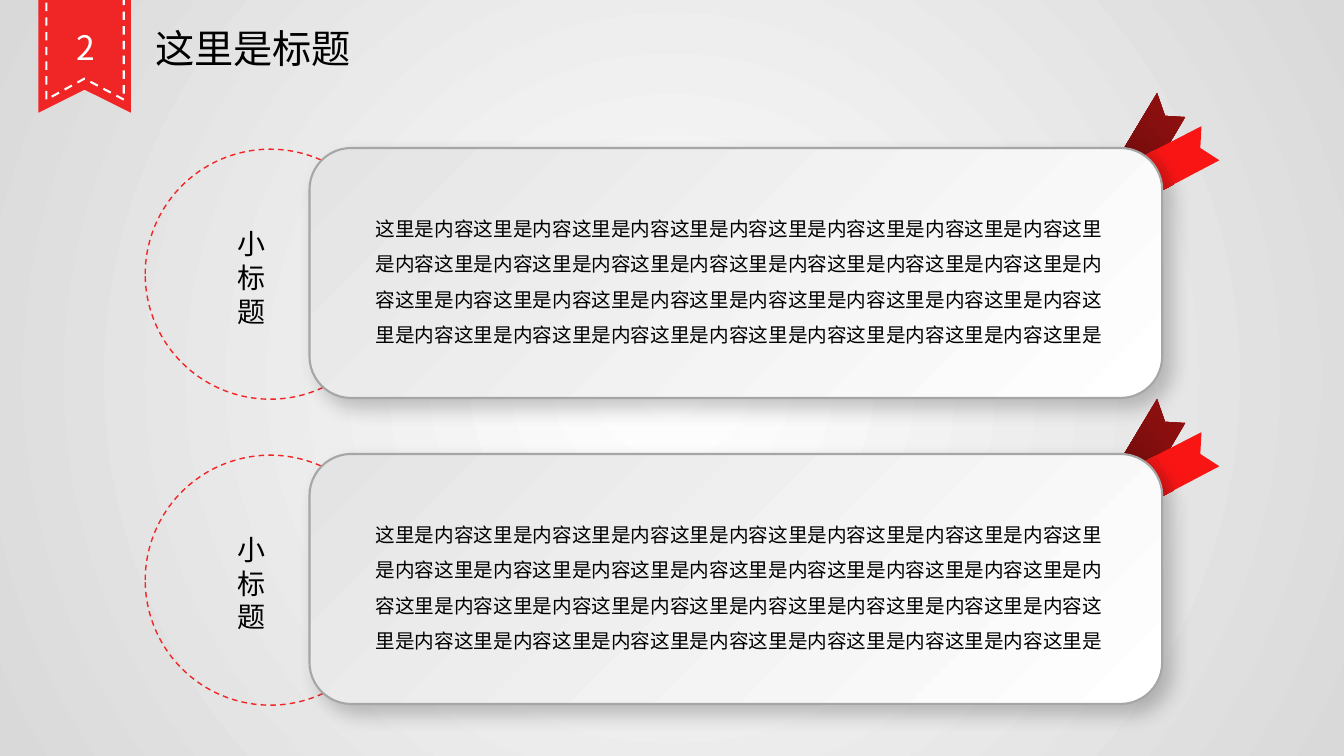
import pptx
import pptx.util
import pptx.oxml
import pptx.oxml.ns
import pptx.dml.color
import pptx.enum.dml
import pptx.enum.shapes
import pptx.enum.text

Cm = pptx.util.Cm
Pt = pptx.util.Pt
RGB = pptx.dml.color.RGBColor
qn = pptx.oxml.ns.qn
SHAPE = pptx.enum.shapes.MSO_SHAPE
TEXT = pptx.enum.text
DASH = pptx.enum.dml.MSO_LINE.DASH

BLACK = RGB(0x00, 0x00, 0x00)
WHITE = RGB(0xFF, 0xFF, 0xFF)
SILVER = RGB(0xD9, 0xD9, 0xD9)
PALE = RGB(0xE4, 0xE4, 0xE4)
EDGE = RGB(0xA6, 0xA6, 0xA6)
RED = RGB(0xF0, 0x25, 0x25)
RING_RED = RGB(0xF2, 0x24, 0x24)
BRIGHT_RED = RGB(0xFA, 0x15, 0x15)
FOLD_RED = RGB(0xC4, 0x1A, 0x1A)
DEEP_RED = RGB(0x59, 0x0A, 0x0A)
DARK_RED = RGB(0x7E, 0x0E, 0x0E)
WINE = RGB(0x96, 0x10, 0x10)

SANS_JP = "Noto Sans CJK JP"
SANS_SC = "Noto Sans CJK SC"

TITLE = "这里是标题"
NUMBER = "2"
CARDS = [
    ("小标题", "这里是内容" * 29 + "这里是"),
    ("小标题", "这里是内容" * 29 + "这里是"),
]

TITLE_BOX = (3.66, 0.48, 6.3, 1.45)
NUMBER_BOX = (1.35, 0.56, 1.65, 1.27)
RING_BOX = (3.66, 3.76, 6.3, 6.3)
CARD_BOX = (7.8, 3.73, 21.49, 6.3)
LABEL_BOX = (5.74, 5.59, 1.68, 2.82)
BODY_BOX = (9.22, 5.05, 19.08, 3.84)
CARD_PITCH = 7.71

RIBBON = [(3.3, 2.84), (2.13, 2.26), (0.97, 2.84), (0.97, -6.05), (3.3, -6.05)]
STITCH = [(3.12, 2.51), (2.13, 1.98), (1.17, 2.51), (1.17, -5.79), (3.12, -5.79)]
BACK_TAIL = [(29.16, 2.34), (28.45, 3.53), (27.94, 4.39), (28.4, 5.26),
             (29.16, 4.14), (29.87, 2.95), (29.36, 2.92)]
FRONT_TAIL = [(30.73, 4.04), (29.57, 4.65), (28.4, 5.26), (27.94, 4.39),
              (29.11, 3.78), (30.28, 3.18), (30.25, 3.73)]
FOLD = [(29.57, 4.65), (28.4, 5.26), (27.94, 4.39), (29.11, 3.78)]

CENTRE_GLOW = '<a:path path="circle"><a:fillToRect l="50000" t="50000" r="50000" b="50000"/></a:path>'
CORNER_GLOW = '<a:path path="circle"><a:fillToRect t="100000" r="100000"/></a:path>'


def linear(degrees):
    return f'<a:lin ang="{round(degrees * 60000)}" scaled="0"/>'


def drawing_xml(text):
    head, tail = text.split(">", 1)
    return pptx.oxml.parse_xml(f"{head} {pptx.oxml.ns.nsdecls('a')}>{tail}")


def set_gradient(fill, element, colours, direction):
    fill.gradient()
    node = next(element.iter(qn("a:gradFill")))
    step = 100000 // (len(colours) - 1)
    stops = "".join(
        f'<a:gs pos="{index * step}"><a:srgbClr val="{colour}"/></a:gs>'
        for index, colour in enumerate(colours))
    node.getparent().replace(node, drawing_xml(
        f'<a:gradFill rotWithShape="1"><a:gsLst>{stops}</a:gsLst>{direction}</a:gradFill>'))


def paint(shape, colours=(), direction="", edge=None, width=0, dash=None):
    shape.shadow.inherit = False
    if len(colours) > 1:
        set_gradient(shape.fill, shape.element, colours, direction)
    elif colours:
        shape.fill.solid()
        shape.fill.fore_color.rgb = colours[0]
    else:
        shape.fill.background()
    if edge is None:
        shape.line.fill.background()
    else:
        shape.line.color.rgb = edge
        shape.line.width = Pt(width)
        if dash:
            shape.line.dash_style = dash


def draw_outline(page, points, drop=0, **look):
    corners = [(Cm(x), Cm(y + drop)) for x, y in points]
    builder = page.shapes.build_freeform(*corners[0], scale=1.0)
    builder.add_line_segments(corners[1:], close=True)
    paint(builder.convert_to_shape(), **look)


def place(box, drop=0):
    left, top, width, height = box
    return [Cm(value) for value in (left, top + drop, width, height)]


def write(box, text, font, size, colour=BLACK, anchor=TEXT.MSO_ANCHOR.TOP, **layout):
    frame = box.text_frame
    frame_format = {"word_wrap": True, "auto_size": TEXT.MSO_AUTO_SIZE.NONE,
                    "vertical_anchor": anchor}
    for name, value in frame_format.items():
        setattr(frame, name, value)
    para = frame.paragraphs[0]
    for name, value in layout.items():
        setattr(para, name, value)
    span = para.add_run()
    span.text = text
    for name, value in {"name": font, "size": Pt(size)}.items():
        setattr(span.font, name, value)
    span.font.color.rgb = colour
    span.font._element.find(qn("a:latin")).addnext(drawing_xml(f'<a:ea typeface="{font}"></a:ea>'))


def add_text(page, box, drop=0, **content):
    write(page.shapes.add_textbox(*place(box, drop)), **content)


def add_card(page, label, body, drop):
    draw_outline(page, BACK_TAIL, drop, colours=(DEEP_RED, DARK_RED, WINE), direction=CORNER_GLOW)
    draw_outline(page, FRONT_TAIL, drop, colours=(BRIGHT_RED,))
    draw_outline(page, FOLD, drop, colours=(FOLD_RED, BRIGHT_RED), direction=linear(332.6))
    ring = page.shapes.add_shape(SHAPE.OVAL, *place(RING_BOX, drop))
    paint(ring, edge=RING_RED, width=1, dash=DASH)
    card = page.shapes.add_shape(SHAPE.ROUNDED_RECTANGLE, *place(CARD_BOX, drop))
    paint(card, (PALE, WHITE), linear(45), EDGE, 1.5)
    card.element.spPr.find(qn("a:effectLst")).append(drawing_xml(
        f'<a:outerShdw blurRad="{Pt(14)}" dist="{Pt(9)}" dir="2700000" algn="tl" rotWithShape="0">'
        f'<a:srgbClr val="{BLACK}"><a:alpha val="22000"/></a:srgbClr></a:outerShdw>'))
    add_text(page, LABEL_BOX, drop, text=label, font=SANS_JP, size=20)
    add_text(page, BODY_BOX, drop, text=body, font=SANS_SC, size=14, line_spacing=1.5)


def main():
    deck = pptx.Presentation()
    deck.slide_width, deck.slide_height = Cm(33.87), Cm(19.05)
    page = deck.slides.add_slide(deck.slide_layouts[5])
    set_gradient(page.background.fill, page.element, (WHITE, SILVER), CENTRE_GLOW)

    draw_outline(page, RIBBON, colours=(RED,))
    draw_outline(page, STITCH, edge=WHITE, width=1.5, dash=DASH)
    add_text(page, NUMBER_BOX, text=NUMBER, font=SANS_SC, size=24, colour=WHITE,
             alignment=TEXT.PP_ALIGN.CENTER)

    title = page.shapes.title
    for name, value in zip(("left", "top", "width", "height"), place(TITLE_BOX)):
        setattr(title, name, value)
    write(title, TITLE, SANS_JP, 28, alignment=TEXT.PP_ALIGN.LEFT)

    for index, (label, body) in enumerate(CARDS):
        add_card(page, label, body, index * CARD_PITCH)

    deck.save("out.pptx")


if __name__ == "__main__":
    main()
